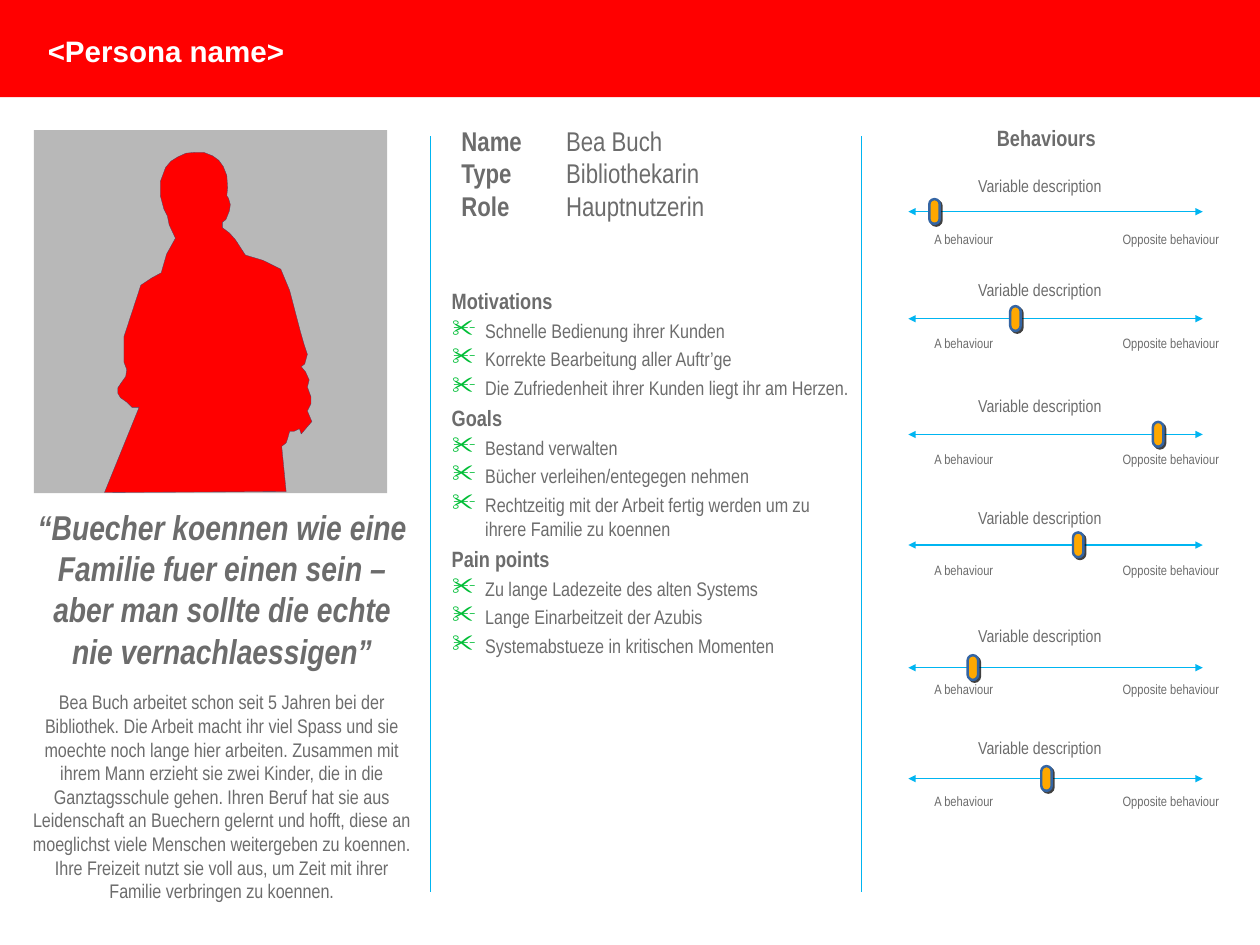
from lxml.etree import SubElement
from pptx import Presentation
from pptx.dml.color import RGBColor
from pptx.enum.shapes import MSO_CONNECTOR, MSO_SHAPE
from pptx.enum.text import MSO_ANCHOR, MSO_AUTO_SIZE, PP_ALIGN
from pptx.oxml import parse_xml
from pptx.oxml.ns import nsdecls, qn
from pptx.util import Cm, Pt

RED, GREY, BLUE, GREEN = "FF0000", "6C6C6C", "00B5F1", "00BE36"


def paint(fill, color):
    fill.solid()
    fill.fore_color.rgb = RGBColor.from_string(color)


def add_text(left, top, width, height, lines, size, align=PP_ALIGN.LEFT,
             bold=False, color=GREY, font_name="Arial Narrow"):
    box = slide.shapes.add_textbox(Cm(left), Cm(top), Cm(width), Cm(height))
    frame = box.text_frame
    frame.margin_left = frame.margin_right = frame.margin_top = frame.margin_bottom = 0
    frame.vertical_anchor = MSO_ANCHOR.MIDDLE
    frame.text = "\n".join(lines)
    frame.word_wrap = True
    frame.auto_size = MSO_AUTO_SIZE.SHAPE_TO_FIT_TEXT
    for paragraph in frame.paragraphs:
        paragraph.alignment = align
        paragraph.font.name = font_name
        paragraph.font.size = Pt(size)
        paragraph.font.bold = bold
        paint(paragraph.font.fill, color)
    return frame.paragraphs


presentation = Presentation()
presentation.slide_width = Cm(36.12)
presentation.slide_height = Cm(27.1)
slide = presentation.slides.add_slide(presentation.slide_layouts[6])

for left, top, width, height, color in [
    (0, 0, 36.12, 2.79, RED),
    (0.97, 3.73, 10.13, 10.41, "B8B8B8"),
]:
    panel = slide.shapes.add_shape(
        MSO_SHAPE.RECTANGLE, Cm(left), Cm(top), Cm(width), Cm(height))
    panel.shadow.inherit = False
    paint(panel.fill, color)
    panel.line.fill.background()

silhouette_points = [
    (118, 556), (157, 460), (149, 460), (143, 454), (136, 449), (133, 444),
    (133, 438), (137, 432), (142, 425), (143, 417), (140, 409), (140, 380),
    (159, 322), (171, 314), (182, 308), (188, 287), (198, 269), (191, 254),
    (189, 244), (185, 236), (181, 221), (181, 205), (187, 189), (193, 182),
    (201, 177), (210, 173), (220, 172), (230, 172), (240, 176), (247, 181),
    (252, 188), (256, 198), (257, 212), (256, 221), (258, 224), (260, 231),
    (259, 238), (255, 248), (251, 251), (251, 257), (259, 263), (266, 271),
    (277, 288), (297, 294), (317, 304), (327, 328), (339, 374), (343, 388),
    (347, 400), (344, 411), (340, 414), (345, 420), (349, 429), (347, 437),
    (351, 448), (351, 456), (347, 464), (352, 476), (340, 490), (338, 484),
    (332, 487), (327, 487), (325, 494), (323, 500), (318, 504), (323, 555),
]
builder = slide.shapes.build_freeform(*silhouette_points[0], scale=Cm(2.54) / 100)
builder.add_line_segments(silhouette_points[1:])
silhouette = builder.convert_to_shape()
silhouette.shadow.inherit = False
paint(silhouette.fill, RED)
paint(silhouette.line.fill, "524265")
silhouette.line.width = Pt(0.25)

add_text(1.37, 0.94, 7.5, 1.02, ["<Persona name>"], 24, bold=True,
         color="FFFFFF", font_name="Arial")
quote = add_text(
    0.91, 14.5, 10.9, 4.75,
    ["“Buecher koennen wie eine Familie fuer einen sein – aber man sollte "
     "die echte nie vernachlaessigen”"],
    28, PP_ALIGN.CENTER, True)
quote[0].font.italic = True
add_text(
    0.91, 19.79, 10.9, 6.1,
    ["Bea Buch arbeitet schon seit 5 Jahren bei der Bibliothek. Die Arbeit macht "
     "ihr viel Spass und sie moechte noch lange hier arbeiten. Zusammen mit ihrem "
     "Mann erzieht sie zwei Kinder, die in die Ganztagsschule gehen. Ihren Beruf "
     "hat sie aus Leidenschaft an Buechern gelernt und hofft, diese an moeglichst "
     "viele Menschen weitergeben zu koennen. Ihre Freizeit nutzt sie voll aus, um "
     "Zeit mit ihrer Familie verbringen zu koennen."],
    16, PP_ALIGN.CENTER)

profile = [("Name", "Bea Buch"), ("Type", "Bibliothekarin"), ("Role", "Hauptnutzerin")]
profile_paragraphs = add_text(13.23, 3.56, 12.37, 2.79, [""] * len(profile), 22)
for paragraph, (label, value) in zip(profile_paragraphs, profile):
    label_run = paragraph.add_run()
    label_run.text = label + "\t"
    label_run.font.bold = True
    paragraph.add_run().text = value
    properties = paragraph._p.get_or_add_pPr()
    properties.find(qn("a:defRPr")).addprevious(parse_xml(
        f'<a:tabLst {nsdecls("a")}><a:tab pos="{Cm(3)}" algn="l"/></a:tabLst>'))

sections = {
    "Motivations": ["Schnelle Bedienung ihrer Kunden",
                    "Korrekte Bearbeitung aller Auftr’ge",
                    "Die Zufriedenheit ihrer Kunden liegt ihr am Herzen."],
    "Goals": ["Bestand verwalten",
              "Bücher verleihen/entegegen nehmen",
              "Rechtzeitig mit der Arbeit fertig werden um zu ihrere Familie zu koennen"],
    "Pain points": ["Zu lange Ladezeite des alten Systems",
                    "Lange Einarbeitzeit der Azubis",
                    "Systemabstueze in kritischen Momenten"],
}
section_lines = [line for heading, items in sections.items() for line in [heading, *items]]
section_paragraphs = add_text(12.95, 8.23, 11.51, 10.62, section_lines, 16)
for paragraph in section_paragraphs:
    paragraph.space_before = Pt(4)
    if paragraph.text in sections:
        paragraph.font.size = Pt(18)
        paragraph.font.bold = True
        continue
    properties = paragraph._p.get_or_add_pPr()
    properties.set("marL", str(Cm(0.96)))
    properties.set("indent", str(-Cm(0.95)))
    for bullet in [
        f'<a:buClr {nsdecls("a")}><a:srgbClr val="{GREEN}"/></a:buClr>',
        f'<a:buSzPct {nsdecls("a")} val="125000"/>',
        f'<a:buChar {nsdecls("a")} char="✂"/>',
    ]:
        properties.find(qn("a:defRPr")).addprevious(parse_xml(bullet))
section_paragraphs[0].space_before = Pt(11)

add_text(25.6, 3.56, 8.79, 0.76, ["Behaviours"], 18, PP_ALIGN.CENTER, True)

sliders = [(6.07, 6.63, 26.64), (9.14, 9.6, 28.96), (12.46, 12.93, 33.05),
           (15.63, 16.13, 30.76), (19.15, 19.53, 27.74), (22.33, 22.73, 29.85)]
lines = [(x, 3.91, x, 25.58, False) for x in (12.34, 24.69)]
lines += [(26.04, y, 34.48, y, True) for y, _, _ in sliders]
for start_x, start_y, end_x, end_y, has_arrows in lines:
    connector = slide.shapes.add_connector(
        MSO_CONNECTOR.STRAIGHT, Cm(start_x), Cm(start_y), Cm(end_x), Cm(end_y))
    connector.line.width = Pt(1)
    paint(connector.line.fill, BLUE)
    connector_properties = connector._element.spPr
    if has_arrows:
        for arrow_end in ("a:headEnd", "a:tailEnd"):
            SubElement(connector_properties.find(qn("a:ln")), qn(arrow_end), type="triangle")
    SubElement(connector_properties, qn("a:effectLst"))

for line_y, label_y, thumb_x in sliders:
    add_text(25.58, label_y - 1.59, 8.46, 0.58, ["Variable description"], 14, PP_ALIGN.CENTER)
    add_text(25.65, label_y, 3.96, 0.46, ["A behaviour"], 11, PP_ALIGN.CENTER)
    add_text(30.58, label_y, 4.37, 0.46, ["Opposite behaviour"], 11, PP_ALIGN.RIGHT)
    thumb = slide.shapes.add_shape(
        MSO_SHAPE.ROUNDED_RECTANGLE, Cm(thumb_x), Cm(line_y - 0.36), Cm(0.3), Cm(0.71))
    thumb.adjustments[0] = 0.5
    paint(thumb.fill, "FFA800")
    paint(thumb.line.fill, "3465A4")
    thumb.line.width = Pt(2)
    thumb.shadow.inherit = False
    thumb._element.spPr.find(qn("a:effectLst")).append(parse_xml(
        f'<a:outerShdw {nsdecls("a")} blurRad="0" dist="{Pt(2)}" dir="2700000">'
        '<a:srgbClr val="000000"><a:alpha val="75000"/></a:srgbClr></a:outerShdw>'))

presentation.save("out.pptx")
